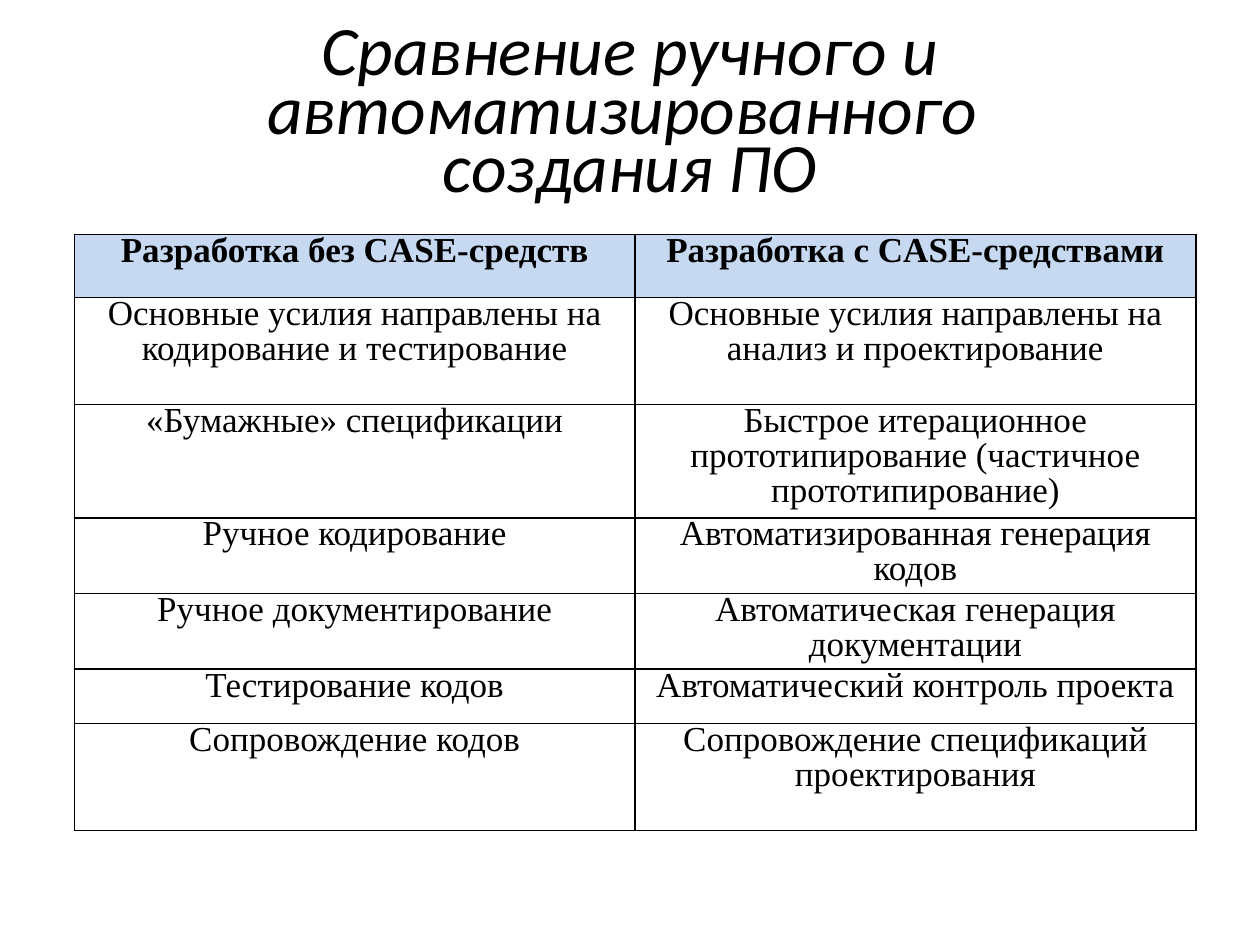
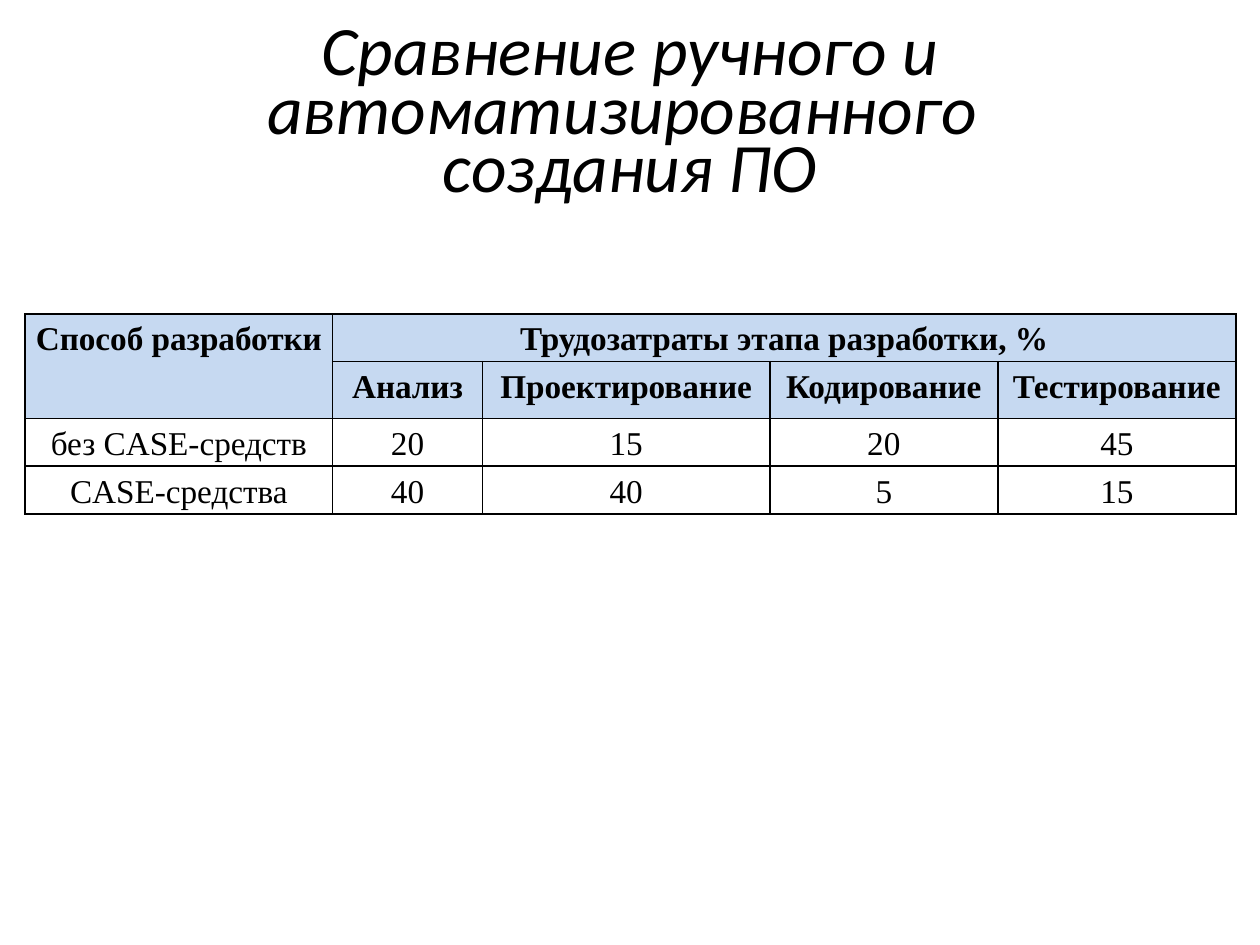
from dataclasses import dataclass
from typing import Optional

from lxml.etree import SubElement
from pptx import Presentation
from pptx.dml.color import RGBColor
from pptx.enum.text import MSO_ANCHOR, PP_ALIGN
from pptx.oxml.ns import qn
from pptx.util import Inches, Length, Pt

COLOURS = {"text": "000000", "border": "000000", "header": "C6D9F1"}
TITLE_FONT, TABLE_FONT = "Calibri", "Times New Roman"
TITLE = "Сравнение ручного и автоматизированного \vсоздания ПО"
GRID_COLUMNS, GRID_ROWS = 100, 75
CELL_MARGIN = 0.7


@dataclass(frozen=True)
class Span:
    """A merged block of cells, by its first and last (row, column)."""
    first: tuple[int, int]
    last: tuple[int, int]


@dataclass(frozen=True)
class TableSpec:
    """A table placed on the grid; None marks a cell covered by a span."""
    left: float
    top: float
    columns: list[float]
    rows: list[float]
    cells: list[list[Optional[str]]]
    font_size: float
    line_spacing: float
    header_rows: int = 1
    spans: tuple[Span, ...] = ()


# Slide contents
APPROACHES = TableSpec(
    left=5.9, top=18.6, columns=[44.5] * 2,
    rows=[5, 8.5, 8.5, 4.3, 4.3, 4.3, 8.5],
    font_size=20, line_spacing=0.9,
    cells=[
        ["Разработка без CASE-средств", "Разработка с CASE-средствами"],
        ["Основные усилия направлены на кодирование и тестирование",
         "Основные усилия направлены на анализ и проектирование"],
        ["«Бумажные» спецификации",
         "Быстрое итерационное прототипирование (частичное прототипирование)"],
        ["Ручное кодирование", "Автоматизированная генерация кодов"],
        ["Ручное документирование", "Автоматическая генерация документации"],
        ["Тестирование кодов", "Автоматический контроль проекта"],
        ["Сопровождение кодов", "Сопровождение спецификаций проектирования"],
    ],
)
EFFORT = TableSpec(
    left=2, top=24.9, columns=[24.4, 11.9, 22.8, 18.1, 18.9],
    rows=[2.3, 4.5, 2.3, 2.3],
    font_size=19, line_spacing=1.2, header_rows=2,
    spans=(Span((0, 0), (1, 0)), Span((0, 1), (0, 4))),
    cells=[
        ["Способ разработки", "Трудозатраты этапа разработки, %", None, None, None],
        [None, "Анализ", "Проектирование", "Кодирование", "Тестирование"],
        ["без CASE-средств", "20", "15", "20", "45"],
        ["CASE-средства", "40", "40", "5", "15"],
    ],
)

deck = Presentation()
deck.slide_width, deck.slide_height = Inches(10), Inches(7.5)


def across(columns: float) -> Length:
    return Length(round(deck.slide_width * columns / GRID_COLUMNS))


def down(rows: float) -> Length:
    return Length(round(deck.slide_height * rows / GRID_ROWS))


def style_paragraph(para, font_name: str, size: float, spacing: float,
                    bold: bool = False, italic: bool = False) -> None:
    para.alignment = PP_ALIGN.CENTER
    para.line_spacing = spacing
    font = para.font
    font.name, font.size, font.bold, font.italic = font_name, Pt(size), bold, italic
    font.color.rgb = RGBColor.from_string(COLOURS["text"])


def add_borders(cell) -> None:
    """Line all four sides; call before the fill, which must follow in the XML."""
    properties = cell._tc.get_or_add_tcPr()
    for side in ("lnL", "lnR", "lnT", "lnB"):
        line = SubElement(properties, qn(f"a:{side}"), w=str(Pt(1)))
        fill = SubElement(line, qn("a:solidFill"))
        SubElement(fill, qn("a:srgbClr"), val=COLOURS["border"])


def add_title(page) -> None:
    box = page.shapes.add_textbox(across(5), down(3), across(90), down(12.5))
    frame = box.text_frame
    frame.word_wrap = True
    frame.vertical_anchor = MSO_ANCHOR.MIDDLE
    frame.text = TITLE
    style_paragraph(frame.paragraphs[0], TITLE_FONT, 39.6, 0.7, italic=True)


def add_table(page, spec: TableSpec) -> None:
    table = page.shapes.add_table(
        len(spec.rows), len(spec.columns), across(spec.left), down(spec.top),
        across(sum(spec.columns)), down(sum(spec.rows))).table
    table.first_row = table.horz_banding = False
    for column, width in zip(table.columns, spec.columns):
        column.width = across(width)
    for row, height in zip(table.rows, spec.rows):
        row.height = down(height)

    for row_index, texts in enumerate(spec.cells):
        is_header = row_index < spec.header_rows
        for column_index, text in enumerate(texts):
            cell = table.cell(row_index, column_index)
            cell.margin_left = cell.margin_right = across(CELL_MARGIN)
            cell.margin_top = cell.margin_bottom = 0
            add_borders(cell)
            if is_header:
                cell.fill.solid()
                cell.fill.fore_color.rgb = RGBColor.from_string(COLOURS["header"])
            else:
                cell.fill.background()
            if text is not None:
                cell.text = text
            style_paragraph(cell.text_frame.paragraphs[0], TABLE_FONT,
                            spec.font_size, spec.line_spacing, bold=is_header)

    for span in spec.spans:
        table.cell(*span.first).merge(table.cell(*span.last))


# One slide per table, under the shared title
for spec in (APPROACHES, EFFORT):
    page = deck.slides.add_slide(deck.slide_layouts[6])
    add_title(page)
    add_table(page, spec)

deck.save("out.pptx")
